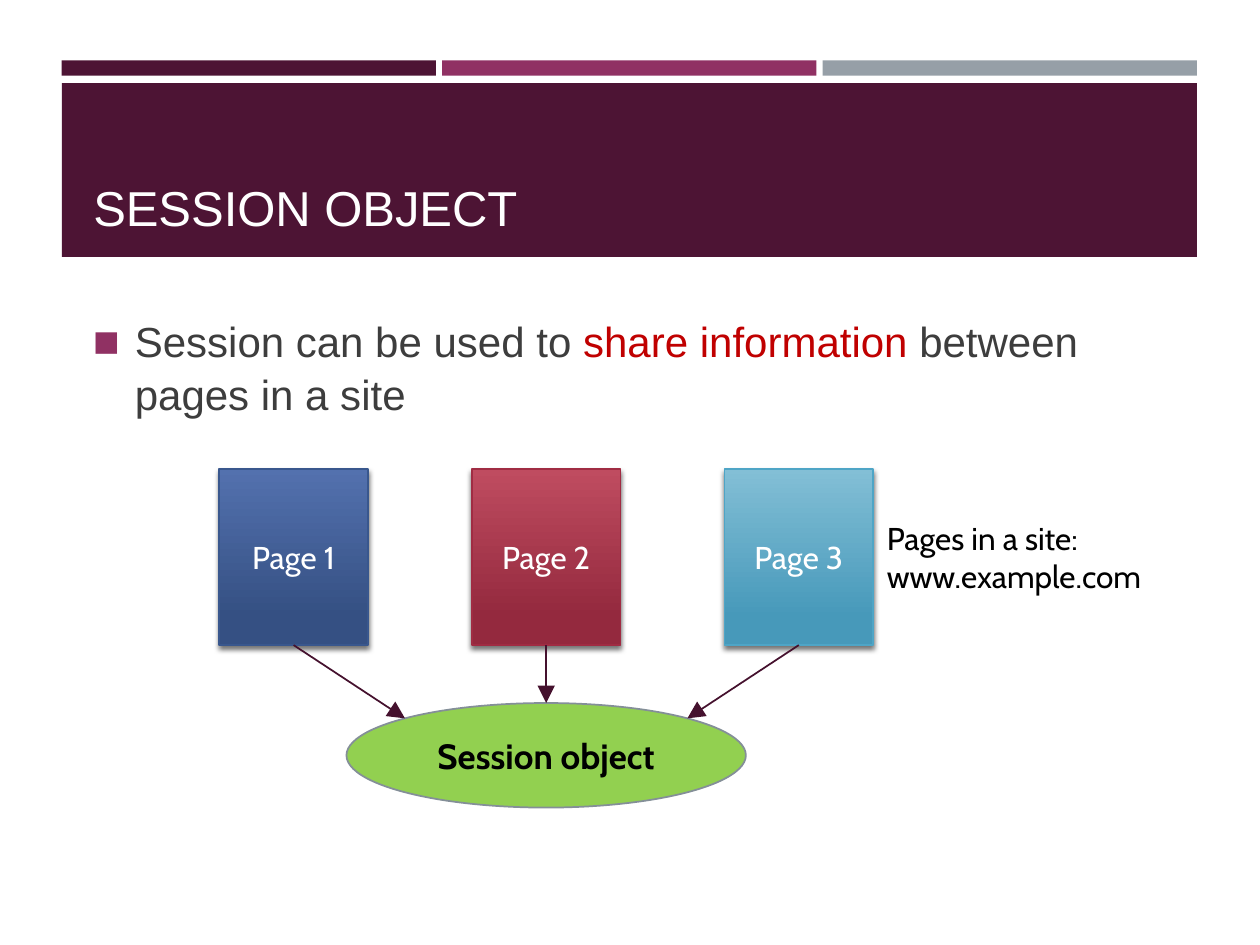
import math

from lxml import etree
from pptx import Presentation, util as u
from pptx.dml import color
from pptx.enum import shapes, text
from pptx.oxml import parse_xml
from pptx.oxml.ns import nsdecls, qn

PLUM, MAGENTA, GREY = "4D1434", "903163", "969FA7"
WHITE, BLACK, BODY, RED = "FFFFFF", "000000", "3D3D3D", "C00000"
GREEN, OVAL_LINE, ARROW = "92D050", "848F98", "45112E"


def rgb(hex_code):
    return color.RGBColor.from_string(hex_code)


class SlideBuilder:
    heading_font = "Arial"
    label_font = "Cabin"

    def __init__(self, slide):
        self.slide = slide

    def place(self, shape, box):
        shape.left, shape.top, shape.width, shape.height = map(u.Inches, box)

    def add_run(self, paragraph, words, size, hex_code, font, bold=False):
        run = paragraph.add_run()
        run.text = words
        run.font.size = u.Pt(size)
        run.font.name = font
        run.font.bold = bold
        run.font.color.rgb = rgb(hex_code)

    def add_block(self, kind, box):
        block = self.slide.shapes.add_shape(kind, *map(u.Inches, box))
        block.shadow.inherit = False
        return block

    def add_band(self, box, hex_code):
        band = self.add_block(shapes.MSO_SHAPE.RECTANGLE, box)
        band.fill.solid()
        band.fill.fore_color.rgb = rgb(hex_code)
        band.line.fill.background()
        # Bands sit behind the placeholders
        band._element.getparent().insert(2, band._element)

    def set_title(self, words, box):
        title = self.slide.shapes.title
        self.place(title, box)
        frame = title.text_frame
        frame.auto_size = text.MSO_AUTO_SIZE.NONE
        frame.vertical_anchor = text.MSO_ANCHOR.BOTTOM
        frame.paragraphs[0].alignment = text.PP_ALIGN.LEFT
        self.add_run(frame.paragraphs[0], words, 28, WHITE, self.heading_font)

    def set_bullet(self, pieces, box):
        body = self.slide.placeholders[1]
        self.place(body, box)
        body.text_frame.auto_size = text.MSO_AUTO_SIZE.NONE
        point = body.text_frame.paragraphs[0]
        point.space_before = u.Pt(0)
        point.line_spacing = 1.04
        props = point._p.get_or_add_pPr()
        props.set("marL", str(u.Inches(0.33)))
        props.set("indent", str(u.Inches(-0.33)))
        bullet_color = etree.SubElement(props, qn("a:buClr"))
        etree.SubElement(bullet_color, qn("a:srgbClr"), val=MAGENTA)
        etree.SubElement(props, qn("a:buChar"), char="◼")
        for words, hex_code in pieces:
            self.add_run(point, words, 24, hex_code, self.heading_font)

    def add_label(self, block, words, size, hex_code, bold=False):
        frame = block.text_frame
        frame.word_wrap = True
        frame.vertical_anchor = text.MSO_ANCHOR.MIDDLE
        frame.paragraphs[0].alignment = text.PP_ALIGN.CENTER
        self.add_run(frame.paragraphs[0], words, size, hex_code, self.label_font, bold)

    def add_page(self, words, box, top_color, bottom_color, edge):
        page = self.add_block(shapes.MSO_SHAPE.RECTANGLE, box)
        page.fill.gradient()
        page.fill.gradient_angle = 270
        stops = page.fill.gradient_stops
        for stop, position, hex_code in zip(stops, (0, 0.84), (top_color, bottom_color)):
            stop.position = position
            stop.color.rgb = rgb(hex_code)
        page.line.color.rgb = rgb(edge)
        page.line.width = u.Pt(1)
        effects = page._element.spPr.find(qn("a:effectLst"))
        effects.append(parse_xml(
            f'<a:outerShdw {nsdecls("a")} blurRad="{u.Pt(3)}" dist="{u.Pt(2)}" '
            'dir="5400000" algn="ctr" rotWithShape="0"><a:srgbClr val="000000">'
            '<a:alpha val="55000"/></a:srgbClr></a:outerShdw>'))
        self.add_label(page, words, 18, WHITE)
        return page

    def add_oval(self, words, box):
        oval = self.add_block(shapes.MSO_SHAPE.OVAL, box)
        oval.fill.solid()
        oval.fill.fore_color.rgb = rgb(GREEN)
        oval.line.color.rgb = rgb(OVAL_LINE)
        oval.line.width = u.Pt(1)
        self.add_label(oval, words, 20, BLACK, bold=True)
        return oval

    def add_arrow(self, page, end):
        arrow = self.slide.shapes.add_connector(
            shapes.MSO_CONNECTOR.STRAIGHT, 0, 0, *map(u.Inches, end))
        arrow.begin_connect(page, 2)
        arrow.line.color.rgb = rgb(ARROW)
        arrow.line.width = u.Pt(1)
        etree.SubElement(arrow.line._get_or_add_ln(), qn("a:tailEnd"),
                         type="triangle", w="lg", len="lg")
        etree.SubElement(arrow._element.spPr, qn("a:effectLst"))
        return arrow

    def add_note(self, lines, box):
        frame = self.slide.shapes.add_textbox(*map(u.Inches, box)).text_frame
        frame.word_wrap = True
        for index, words in enumerate(lines):
            paragraph = frame.add_paragraph() if index else frame.paragraphs[0]
            self.add_run(paragraph, words, 18, BLACK, self.label_font)


def main():
    deck = Presentation()
    deck.slide_width, deck.slide_height = u.Inches(10), u.Inches(7.5)
    builder = SlideBuilder(deck.slides.add_slide(deck.slide_layouts[1]))

    # Header bands
    for column, hex_code in enumerate((PLUM, MAGENTA, GREY)):
        builder.add_band((0.49 + column * 3.02, 0.48, 2.97, 0.12), hex_code)
    builder.add_band((0.49, 0.66, 9.01, 1.38), PLUM)

    # Title and bullet
    builder.set_title("SESSION OBJECT", (0.64, 0.75, 8.74, 1.18))
    builder.set_bullet([("Session can be used to ", BODY),
                        ("share information ", RED),
                        ("between pages in a site", BODY)],
                       (0.64, 2.44, 8.74, 3.97))

    # Pages of the site
    page_colors = [("5371AE", "355083", "39578D"),
                   ("BF4C60", "94293E", "A02C43"),
                   ("83BFD6", "4799BA", "4EA5C6")]
    pages = [builder.add_page(f"Page {index + 1}",
                              (1.74 + index * 2.005, 3.72, 1.18, 1.4), *colors)
             for index, colors in enumerate(page_colors)]

    # Shared session object
    left, top, width, height = 2.75, 5.58, 3.17, 0.83
    session = builder.add_oval("Session object", (left, top, width, height))

    # Arrows to the top of the oval and to its 45 degree points
    center = left + width / 2
    reach = width / 2 * math.cos(math.pi / 4)
    shoulder = top + height / 2 * (1 - math.sin(math.pi / 4))
    builder.add_arrow(pages[0], (center - reach, shoulder))
    builder.add_arrow(pages[2], (center + reach, shoulder))
    builder.add_arrow(pages[1], (center, top)).end_connect(session, 0)

    # Site address
    builder.add_note(["Pages in a site:", "www.example.com"], (6.94, 4.07, 2.62, 0.71))

    deck.save("out.pptx")


if __name__ == "__main__":
    main()
